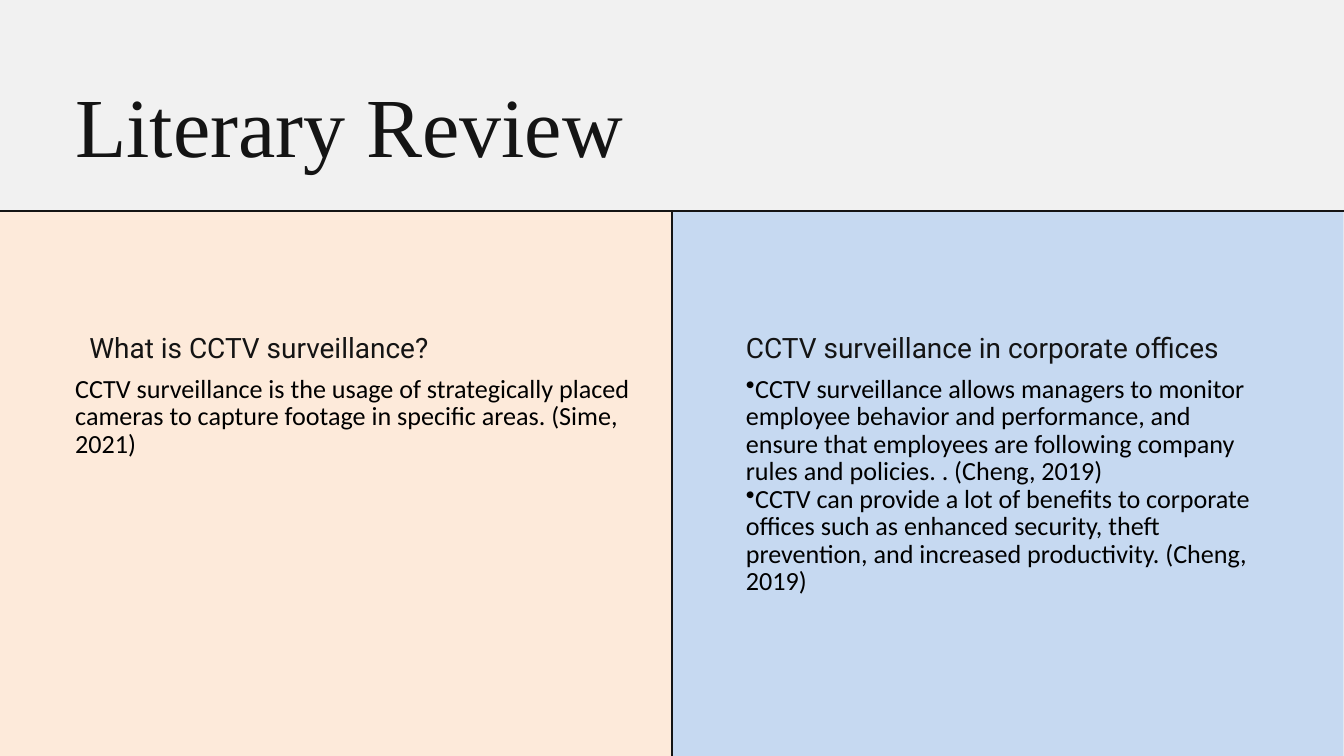
from dataclasses import dataclass

from lxml import etree
from pptx import Presentation
from pptx import util as u
from pptx.dml.color import RGBColor
from pptx.enum import shapes, text
from pptx.oxml.ns import qn

COLUMNS, ROWS = 20, 11.25
MIDDLE, HEADER = COLUMNS / 2, 3.14


@dataclass(frozen=True)
class Theme:
    background: str = "F1F1F1"
    ink: str = "141414"
    body_ink: str = "000000"
    peach: str = "FDEADA"
    blue: str = "C6D9F1"
    rule: float = 1.5
    title: tuple = ("Times New Roman", 90, 108)
    heading: tuple = ("Roboto", 30, 39)
    body: tuple = ("Calibri", 28, 29.4)


def add_bullet(paragraph, hang):
    properties = paragraph._p.get_or_add_pPr()
    properties.set("marL", "0")
    properties.set("indent", str(-u.Inches(hang)))
    etree.SubElement(properties, qn("a:buChar")).set("char", "•")


def write(paragraph, content, style, color, bullet=False):
    font_name, size, leading = style
    paragraph.line_spacing = u.Pt(leading)
    if bullet:
        add_bullet(paragraph, 0.38)
    run = paragraph.add_run()
    run.text = content
    run.font.name = font_name
    run.font.size = u.Pt(size)
    run.font.color.rgb = RGBColor.from_string(color)


class SlideBuilder:
    def __init__(self, presentation, theme):
        self.theme = theme
        self.column = presentation.slide_width / COLUMNS
        self.row = presentation.slide_height / ROWS
        self.slide = presentation.slides.add_slide(presentation.slide_layouts[6])
        fill = self.slide.background.fill
        fill.solid()
        fill.fore_color.rgb = RGBColor.from_string(theme.background)

    def place(self, *lengths):
        units = (self.column, self.row) * 2
        return [round(length * unit) for length, unit in zip(lengths, units)]

    def panel(self, left, top, width, height, color):
        shape = self.slide.shapes.add_shape(
            shapes.MSO_SHAPE.RECTANGLE, *self.place(left, top, width, height))
        shape.shadow.inherit = False
        shape.fill.solid()
        shape.fill.fore_color.rgb = RGBColor.from_string(color)
        shape.line.fill.background()

    def line(self, *ends):
        connector = self.slide.shapes.add_connector(
            shapes.MSO_CONNECTOR.STRAIGHT, *self.place(*ends))
        connector.line.color.rgb = RGBColor.from_string(self.theme.ink)
        connector.line.width = u.Pt(self.theme.rule)
        etree.SubElement(connector._element.spPr, qn("a:effectLst"))

    def text(self, left, top, width, height, contents, style, color, bullet=False):
        frame = self.slide.shapes.add_textbox(
            *self.place(left, top, width, height)).text_frame
        frame.word_wrap = True
        frame.auto_size = text.MSO_AUTO_SIZE.SHAPE_TO_FIT_TEXT
        frame.margin_left = frame.margin_right = 0
        frame.margin_top = frame.margin_bottom = 0
        for index, content in enumerate(contents):
            paragraph = frame.add_paragraph() if index else frame.paragraphs[0]
            write(paragraph, content, style, color, bullet=bullet)

    def title(self, content):
        self.text(1.12, 1.1, 15.96, 1.52, [content], self.theme.title, self.theme.ink)

    def heading(self, left, width, content):
        self.text(left, 4.87, width, 0.51, [content], self.theme.heading, self.theme.ink)

    def body(self, left, width, height, contents, bullet=False):
        self.text(left, 5.6, width, height, contents,
                  self.theme.body, self.theme.body_ink, bullet=bullet)


def main():
    presentation = Presentation()
    presentation.slide_width = u.Inches(COLUMNS)
    presentation.slide_height = u.Inches(ROWS)
    theme = Theme()
    builder = SlideBuilder(presentation, theme)

    builder.title("Literary Review")
    for left, color in ((0, theme.peach), (MIDDLE, theme.blue)):
        builder.panel(left, HEADER, MIDDLE - 0.01, ROWS - HEADER, color)
    builder.line(-0.15, HEADER, COLUMNS + 0.15, HEADER)
    builder.line(MIDDLE, ROWS, MIDDLE, HEADER)

    builder.body(1.12, 8.26, 1.25, [
        "CCTV surveillance is the usage of strategically placed cameras "
        "to capture footage in specific areas. (Sime, 2021)"])
    builder.heading(1.33, 7.79, "What is CCTV surveillance?")

    builder.body(11.1, 7.77, 3.66, [
        "CCTV surveillance allows managers to monitor employee behavior and "
        "performance, and ensure that employees are following company rules "
        "and policies. . (Cheng, 2019)",
        "CCTV can provide a lot of benefits to corporate offices such as "
        "enhanced security, theft prevention, and increased productivity. "
        "(Cheng, 2019)"], bullet=True)
    builder.heading(11.1, 7.77, "CCTV surveillance in corporate offices")

    presentation.save("out.pptx")


if __name__ == "__main__":
    main()
